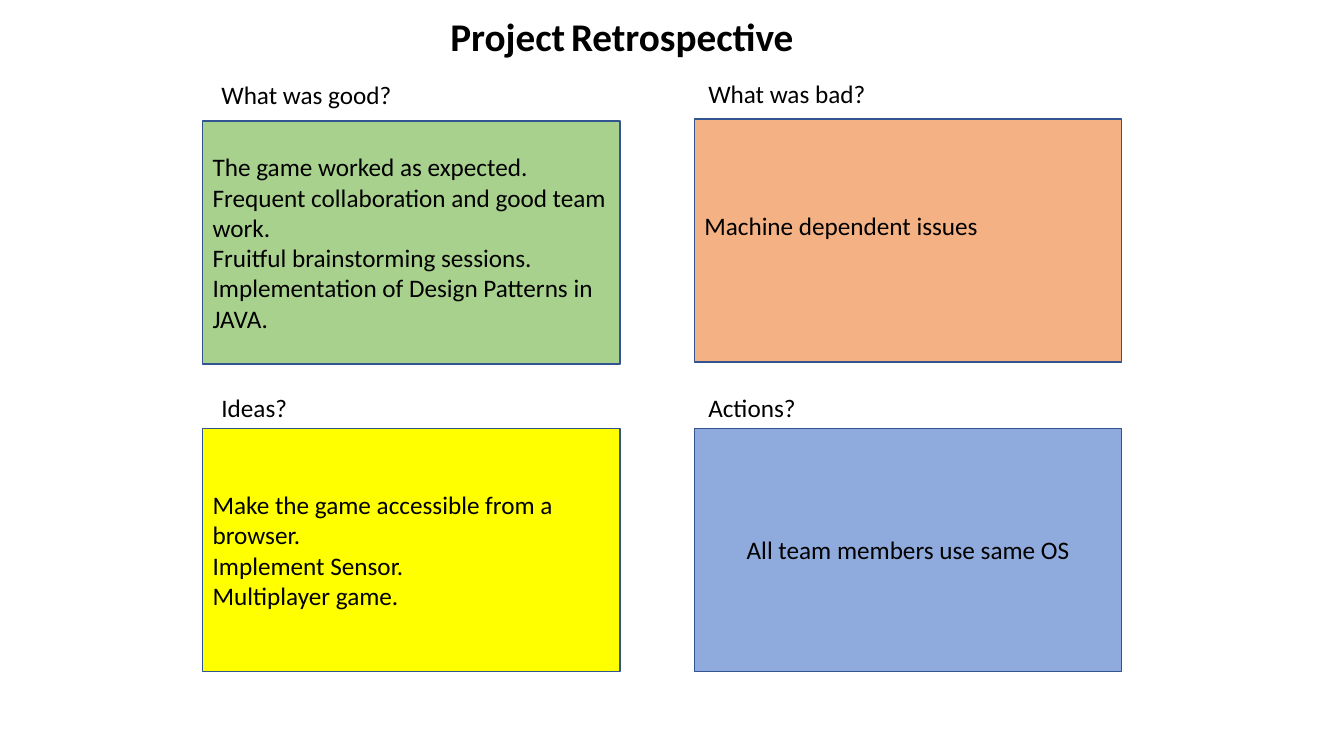
from dataclasses import dataclass

from pptx import Presentation
from pptx.dml.color import RGBColor
from pptx.enum.shapes import MSO_SHAPE as Preset
from pptx.enum.text import MSO_ANCHOR as Anchor, MSO_AUTO_SIZE as AutoSize, PP_ALIGN as Align
from pptx.util import Cm, Pt


@dataclass(frozen=True)
class Theme:
    font: str = "Calibri"
    text: str = "000000"
    border: str = "325491"
    good: str = "A9D18E"
    bad: str = "F4B183"
    ideas: str = "FFFF00"
    actions: str = "8FAADC"
    title_size: int = 28
    body_size: int = 18
    border_width: int = 1


class RetrospectiveSlide:
    def __init__(self, presentation, theme):
        self.theme = theme
        self.slide = presentation.slides.add_slide(presentation.slide_layouts[6])

    def add_run(self, paragraph, text, size, bold=False):
        run = paragraph.add_run()
        run.text = text
        run.font.name = self.theme.font
        run.font.size = Pt(size)
        run.font.bold = bold
        run.font.color.rgb = RGBColor.from_string(self.theme.text)

    def add_text(self, left, top, width, height, runs):
        shape = self.slide.shapes.add_textbox(Cm(left), Cm(top), Cm(width), Cm(height))
        frame = shape.text_frame
        frame.word_wrap = False
        frame.auto_size = AutoSize.SHAPE_TO_FIT_TEXT
        for text, size, bold in runs:
            self.add_run(frame.paragraphs[0], text, size, bold)

    def add_title(self, left, top, width, height, words):
        size = self.theme.title_size
        first, second = words
        runs = [(first, size, True), (" ", self.theme.body_size, True), (second, size, True)]
        self.add_text(left, top, width, height, runs)

    def add_label(self, left, top, width, text):
        self.add_text(left, top, width, 1.02, [(text, self.theme.body_size, False)])

    def add_panel(self, left, top, width, height, fill, lines, align, bottom_inset):
        shape = self.slide.shapes.add_shape(
            Preset.RECTANGLE, Cm(left), Cm(top), Cm(width), Cm(height))
        shape.shadow.inherit = False
        shape.fill.solid()
        shape.fill.fore_color.rgb = RGBColor.from_string(fill)
        shape.line.color.rgb = RGBColor.from_string(self.theme.border)
        shape.line.width = Pt(self.theme.border_width)
        frame = shape.text_frame
        frame.word_wrap = True
        frame.vertical_anchor = Anchor.MIDDLE
        frame.margin_bottom = Cm(bottom_inset)
        for index, line in enumerate(lines):
            paragraph = frame.add_paragraph() if index else frame.paragraphs[0]
            paragraph.alignment = align
            self.add_run(paragraph, line, self.theme.body_size)


def main():
    presentation = Presentation()
    presentation.slide_width = Cm(33.87)
    presentation.slide_height = Cm(19.05)
    theme = Theme()
    retrospective = RetrospectiveSlide(presentation, theme)

    panel_height = 6.12
    inset = 0.13
    left_column = (5.11, 10.52, 5.33)
    right_column = (17.5, 10.77, 17.6)
    quadrants = [
        (left_column, 3.05, 1.88, 4.85, "What was good?", theme.good, Align.LEFT, inset,
         ["The game worked as expected.",
          "Frequent collaboration and good team work.",
          "Fruitful brainstorming sessions.",
          "Implementation of Design Patterns in JAVA."]),
        (right_column, 3.0, 1.85, 4.52, "What was bad?", theme.bad, Align.LEFT, 0.89,
         ["Machine dependent issues"]),
        (left_column, 10.8, 9.75, 2.18, "Ideas?", theme.ideas, Align.LEFT, inset,
         ["Make the game accessible from a browser.",
          "Implement Sensor.",
          "Multiplayer game."]),
        (right_column, 10.8, 9.75, 2.74, "Actions?", theme.actions, Align.CENTER, inset,
         ["All team members use same OS"]),
    ]
    for column, top, label_top, label_width, label, fill, align, bottom_inset, lines in quadrants:
        left, width, label_left = column
        retrospective.add_panel(left, top, width, panel_height, fill, lines, align, bottom_inset)
        retrospective.add_label(label_left, label_top, label_width, label)
    retrospective.add_title(11.1, 0.18, 9.63, 1.45, ("Project", "Retrospective"))

    presentation.save("out.pptx")


if __name__ == "__main__":
    main()
